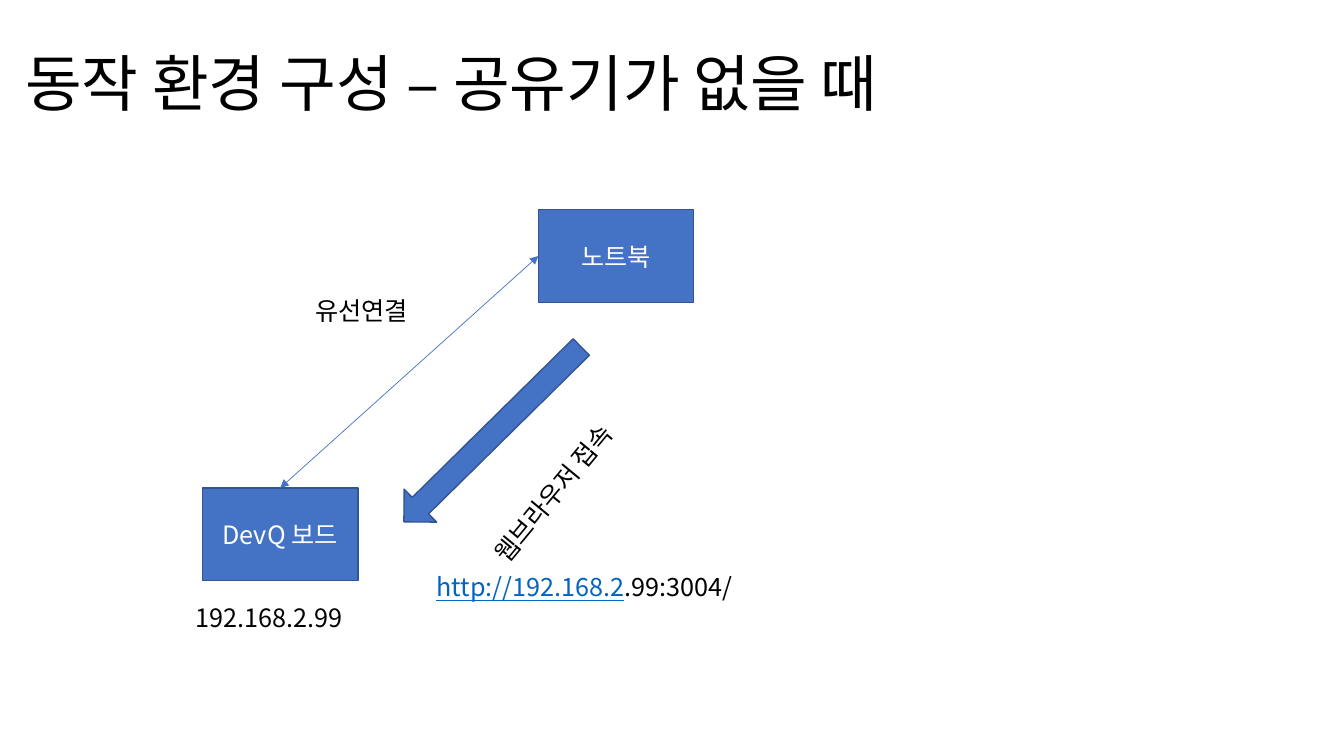
from lxml.etree import SubElement
from pptx import Presentation
from pptx.dml.color import RGBColor as RGB
from pptx.enum.shapes import MSO_CONNECTOR as LINK, MSO_SHAPE as KIND
from pptx.enum.text import MSO_ANCHOR as ANCHOR, MSO_AUTO_SIZE as FIT, PP_ALIGN as ALIGN
from pptx.oxml.ns import qn
from pptx.util import Pt

PX = 9144  # 100 px to the inch
FONT = "Noto Sans CJK KR"
HUES = {"blue": "4472C4", "edge": "325491", "link": "0563C1",
        "black": "000000", "white": "FFFFFF"}

deck = Presentation()
deck.slide_width, deck.slide_height = 1333 * PX, 750 * PX
slide = deck.slides.add_slide(deck.slide_layouts[6])
shapes = slide.shapes


def style(run, size, hue):
    run.font.size = Pt(size)
    run.font.name = FONT
    run.font.color.rgb = RGB.from_string(HUES[hue])
    # Korean letters take the East Asian font
    SubElement(run.font._element, qn("a:ea"), typeface=FONT)


def block(kind, *box):
    shape = shapes.add_shape(kind, *[n * PX for n in box])
    shape.shadow.inherit = False
    shape.fill.solid()
    shape.fill.fore_color.rgb = RGB.from_string(HUES["blue"])
    shape.line.color.rgb = RGB.from_string(HUES["edge"])
    shape.line.width = Pt(1)
    return shape


# Title
title = shapes.add_textbox(15 * PX, 13 * PX, 1150 * PX, 145 * PX)
frame = title.text_frame
frame.word_wrap = True
frame.vertical_anchor = ANCHOR.MIDDLE
frame.text = "동작 환경 구성 – 공유기가 없을 때"
frame.paragraphs[0].line_spacing = 0.9
style(frame.paragraphs[0].runs[0], 44, "black")

# Devices
nodes = []
for name, left, top in [("노트북", 534, 208), ("DevQ 보드", 201, 484)]:
    node = block(KIND.RECTANGLE, left, top, 154, 92)
    frame = node.text_frame
    frame.text = name
    frame.vertical_anchor = ANCHOR.MIDDLE
    frame.paragraphs[0].alignment = ALIGN.CENTER
    style(frame.paragraphs[0].runs[0], 18, "white")
    nodes.append(node)
laptop, board = nodes

# Wired link, with an arrowhead at each end
wire = shapes.add_connector(LINK.STRAIGHT, 0, 0, 0, 0)
wire.begin_connect(laptop, 1)
wire.end_connect(board, 0)
wire.line.color.rgb = RGB.from_string(HUES["blue"])
wire.line.width = Pt(0.5)
for end in ("a:headEnd", "a:tailEnd"):
    SubElement(wire.line._get_or_add_ln(), qn(end), type="triangle")
SubElement(wire._element.spPr, qn("a:effectLst"))

# Browser access arrow
arrow = block(KIND.RIGHT_ARROW, 365, 408, 247, 46)
arrow.rotation = 135.4

# Labels: runs, left, top, width, angle
labels = [
    (["유선연결"], 303, 288, 154, 0),
    (["192.168.2.99"], 184, 593, 196, 0),
    (["웹브라우저 접속"], 450, 458, 215, 309.5),
    (["http://192.168.2", ".99:3004/"], 423, 562, 673, 0),
]
for parts, left, top, width, angle in labels:
    label = shapes.add_textbox(left * PX, top * PX, width * PX, 40 * PX)
    label.rotation = angle
    frame = label.text_frame
    frame.word_wrap = True
    frame.auto_size = FIT.SHAPE_TO_FIT_TEXT
    for part in parts:
        run = frame.paragraphs[0].add_run()
        run.text = part
        linked = part.startswith("http")
        style(run, 18, "link" if linked else "black")
        if linked:
            run.font.underline = True

deck.save("out.pptx")
